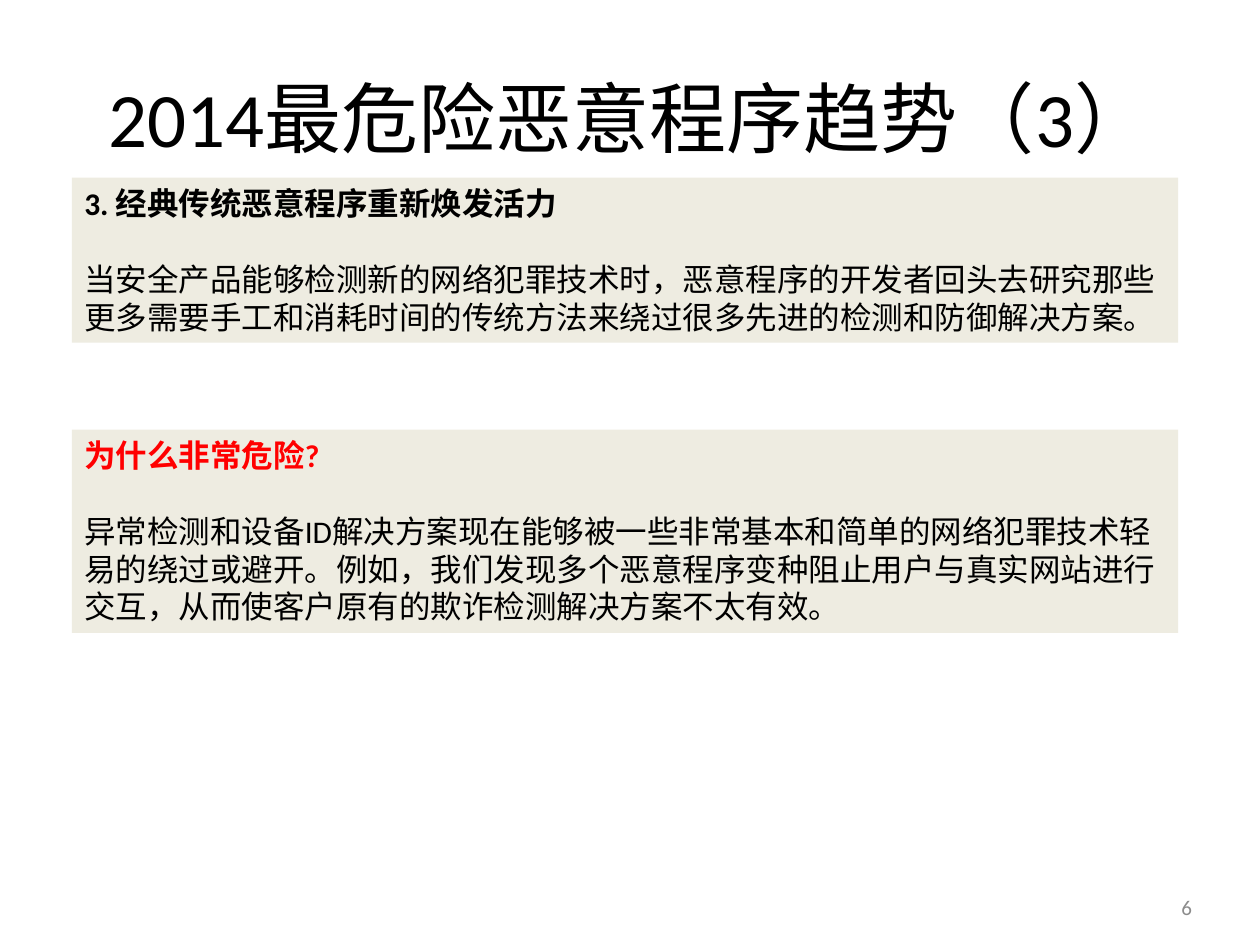
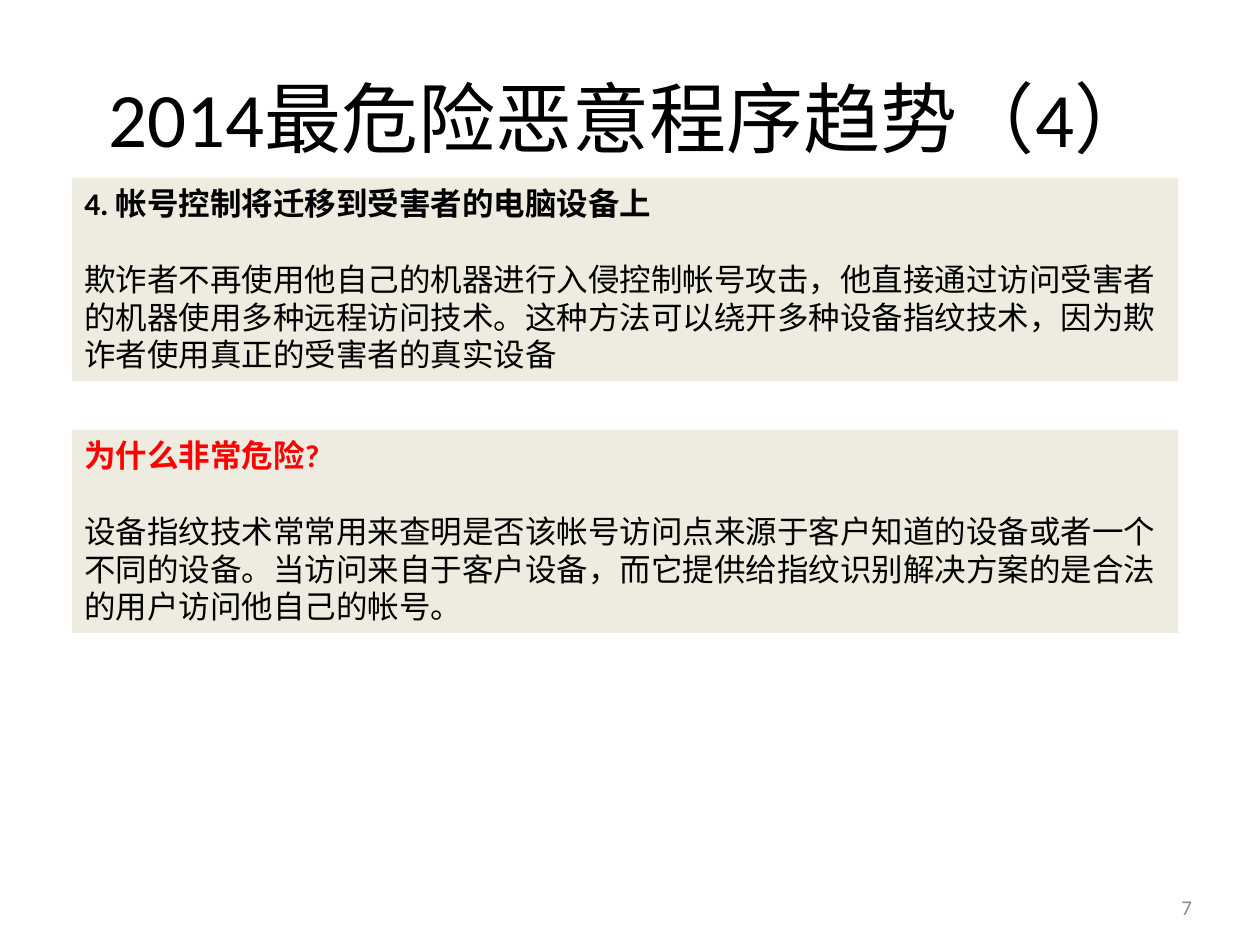
"""Build two slides on the most dangerous malware trends of 2014."""
from pptx import Presentation
from pptx.dml.color import RGBColor
from pptx.enum.shapes import MSO_SHAPE
from pptx.enum.text import MSO_ANCHOR, MSO_AUTO_SIZE, PP_ALIGN
from pptx.util import Cm, Pt

RECT = MSO_SHAPE.RECTANGLE
MIDDLE, TOP = MSO_ANCHOR.MIDDLE, MSO_ANCHOR.TOP
LEFT, CENTER, RIGHT = PP_ALIGN.LEFT, PP_ALIGN.CENTER, PP_ALIGN.RIGHT
NO_FIT, GROW = MSO_AUTO_SIZE.NONE, MSO_AUTO_SIZE.SHAPE_TO_FIT_TEXT

FONT = "Calibri"
COLORS = {"text": "000000", "warning": "FF0000", "panel": "EEECE1", "page": "8C8C8C"}

TITLE = "2014最危险恶意程序趋势（{}）"
QUESTION = "为什么非常危险?"
TRENDS = [
    {
        "number": 3,
        "page": 6,
        "heading": "经典传统恶意程序重新焕发活力",
        "trend": "当安全产品能够检测新的网络犯罪技术时，恶意程序的开发者回头去研究那些"
                 "更多需要手工和消耗时间的传统方法来绕过很多先进的检测和防御解决方案。",
        "trend_lines": 2,
        "danger": "异常检测和设备ID解决方案现在能够被一些非常基本和简单的网络犯罪技术"
                  "轻易的绕过或避开。例如，我们发现多个恶意程序变种阻止用户与真实网站进"
                  "行交互，从而使客户原有的欺诈检测解决方案不太有效。",
        "danger_lines": 3,
    },
    {
        "number": 4,
        "page": 7,
        "heading": "帐号控制将迁移到受害者的电脑设备上",
        "trend": "欺诈者不再使用他自己的机器进行入侵控制帐号攻击，他直接通过访问受害者"
                 "的机器使用多种远程访问技术。这种方法可以绕开多种设备指纹技术，因为欺"
                 "诈者使用真正的受害者的真实设备",
        "trend_lines": 3,
        "danger": "设备指纹技术常常用来查明是否该帐号访问点来源于客户知道的设备或者一个"
                  "不同的设备。当访问来自于客户设备，而它提供给指纹识别解决方案的是合法"
                  "的用户访问他自己的帐号。",
        "danger_lines": 3,
    },
]

PANEL_LEFT, PANEL_WIDTH = 1.45, 22.3
TREND_TOP, DANGER_TOP = 3.58, 8.66
LINE_HEIGHT, PANEL_PADDING = 0.77, 0.25


def rgb(name):
    return RGBColor.from_string(COLORS[name])


def style(p, size, color, align=LEFT, bold=False):
    p.alignment = align
    p.font.name = FONT
    p.font.size = Pt(size)
    p.font.bold = bold
    p.font.color.rgb = rgb(color)


def add_title(slide, text):
    sp = slide.shapes.title
    sp.left, sp.top, sp.width, sp.height = Cm(1.27), Cm(0.76), Cm(22.86), Cm(3.18)
    tf = sp.text_frame
    tf.text = text
    tf.auto_size = NO_FIT
    tf.vertical_anchor = MIDDLE
    style(tf.paragraphs[0], 44, "text", CENTER)


def add_page_number(slide, page):
    sp = slide.shapes.add_textbox(Cm(22.81), Cm(17.91), Cm(1.47), Cm(0.74))
    tf = sp.text_frame
    tf.text = str(page)
    tf.word_wrap = True
    tf.vertical_anchor = MIDDLE
    style(tf.paragraphs[0], 12, "page", RIGHT)


def add_panel(slide, top, heading, color, body, body_lines):
    height = PANEL_PADDING + LINE_HEIGHT * (body_lines + 2)
    sp = slide.shapes.add_shape(RECT, Cm(PANEL_LEFT), Cm(top), Cm(PANEL_WIDTH), Cm(height))
    sp.shadow.inherit = False
    sp.fill.solid()
    sp.fill.fore_color.rgb = rgb("panel")
    sp.line.fill.background()
    tf = sp.text_frame
    tf.word_wrap = True
    tf.auto_size = GROW
    tf.vertical_anchor = TOP
    tf.text = heading
    style(tf.paragraphs[0], 18, color, bold=True)
    p = tf.add_paragraph()
    p.text = body
    p.space_before = Cm(LINE_HEIGHT)
    style(p, 18, "text")


def main():
    prs = Presentation()
    prs.slide_width, prs.slide_height = Cm(25.4), Cm(19.05)
    for t in TRENDS:
        slide = prs.slides.add_slide(prs.slide_layouts[5])
        add_title(slide, TITLE.format(t["number"]))
        add_page_number(slide, t["page"])
        add_panel(slide, TREND_TOP, f"{t['number']}. {t['heading']}", "text",
                  t["trend"], t["trend_lines"])
        add_panel(slide, DANGER_TOP, QUESTION, "warning", t["danger"], t["danger_lines"])
    prs.save("out.pptx")


if __name__ == "__main__":
    main()
